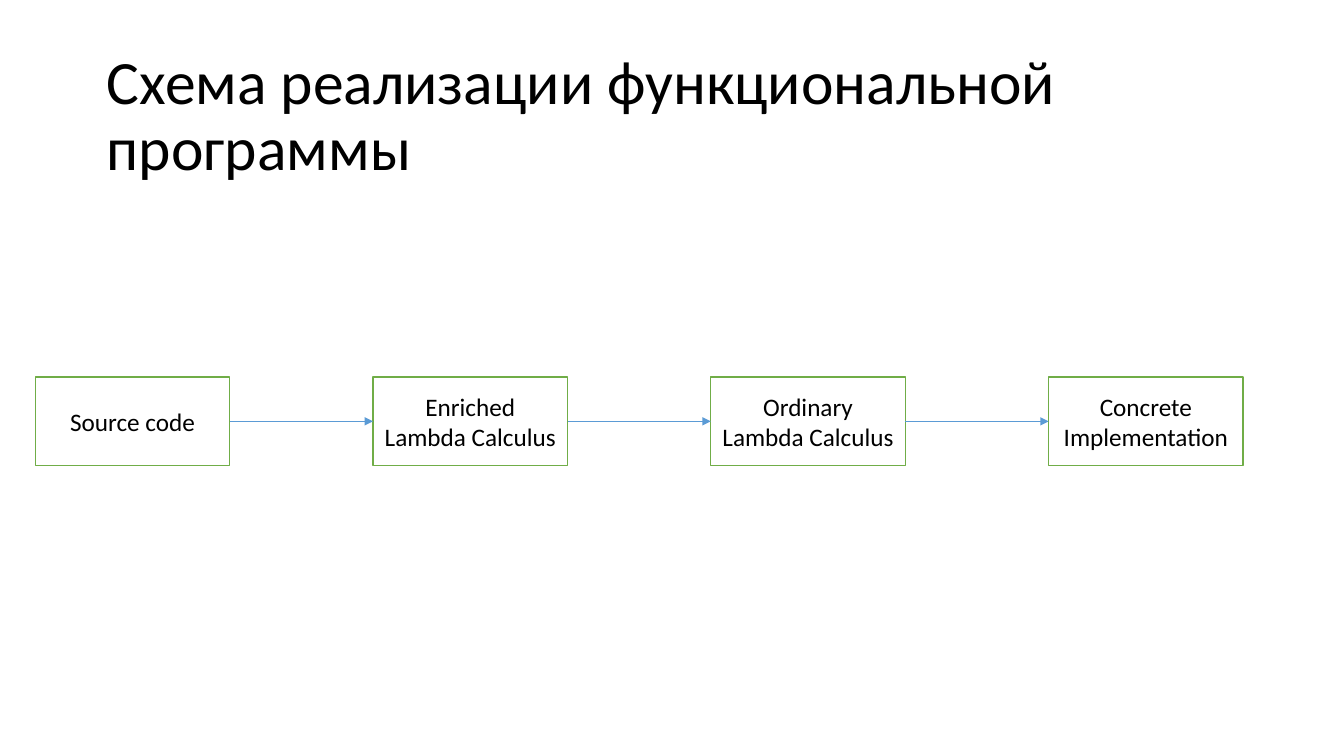
from lxml.etree import SubElement
from pptx import Presentation
from pptx.dml.color import RGBColor
from pptx.enum.shapes import MSO_CONNECTOR, MSO_SHAPE
from pptx.enum.text import MSO_ANCHOR, PP_ALIGN
from pptx.oxml.ns import qn
from pptx.util import Pt

PX = 9144  # 100 px to the inch
BLACK = RGBColor(0x00, 0x00, 0x00)
WHITE = RGBColor(0xFF, 0xFF, 0xFF)
GREEN = RGBColor(0x70, 0xAD, 0x47)
BLUE = RGBColor(0x5B, 0x9B, 0xD5)

STAGES = [
    "Source code",
    "Enriched Lambda Calculus",
    "Ordinary Lambda Calculus",
    "Concrete Implementation",
]
LEFT, TOP, WIDTH, HEIGHT, PITCH = 35, 374, 193, 88, 335
RIGHT_SIDE, LEFT_SIDE = 3, 1  # connection sites of a rectangle


def write(shape, text, size, align):
    frame = shape.text_frame
    frame.word_wrap = True
    frame.vertical_anchor = MSO_ANCHOR.MIDDLE
    para = frame.paragraphs[0]
    para.alignment = align
    span = para.add_run()
    span.text = text
    span.font.name = "Calibri"
    span.font.size = Pt(size)
    span.font.color.rgb = BLACK
    return para


deck = Presentation()
deck.slide_width, deck.slide_height = 1333 * PX, 750 * PX
page = deck.slides.add_slide(deck.slide_layouts[5])

title = page.shapes.title
title.left, title.top, title.width, title.height = 96 * PX, 44 * PX, 1150 * PX, 145 * PX
heading = write(title, "Схема реализации функциональной программы", 44, PP_ALIGN.LEFT)
heading.line_spacing = 0.9

boxes = []
for index, stage in enumerate(STAGES):
    box = page.shapes.add_shape(
        MSO_SHAPE.RECTANGLE,
        (LEFT + index * PITCH) * PX, TOP * PX, WIDTH * PX, HEIGHT * PX,
    )
    box.shadow.inherit = False
    box.fill.solid()
    box.fill.fore_color.rgb = WHITE
    box.line.color.rgb = GREEN
    box.line.width = Pt(1)
    write(box, stage, 18, PP_ALIGN.CENTER)
    boxes.append(box)

for source, target in zip(boxes, boxes[1:]):
    arrow = page.shapes.add_connector(MSO_CONNECTOR.STRAIGHT, 0, 0, 0, 0)
    arrow.begin_connect(source, RIGHT_SIDE)
    arrow.end_connect(target, LEFT_SIDE)
    arrow.line.color.rgb = BLUE
    arrow.line.width = Pt(0.5)
    SubElement(arrow.line._get_or_add_ln(), qn("a:tailEnd"), type="triangle")
    SubElement(arrow._element.spPr, qn("a:effectLst"))

deck.save("out.pptx")
